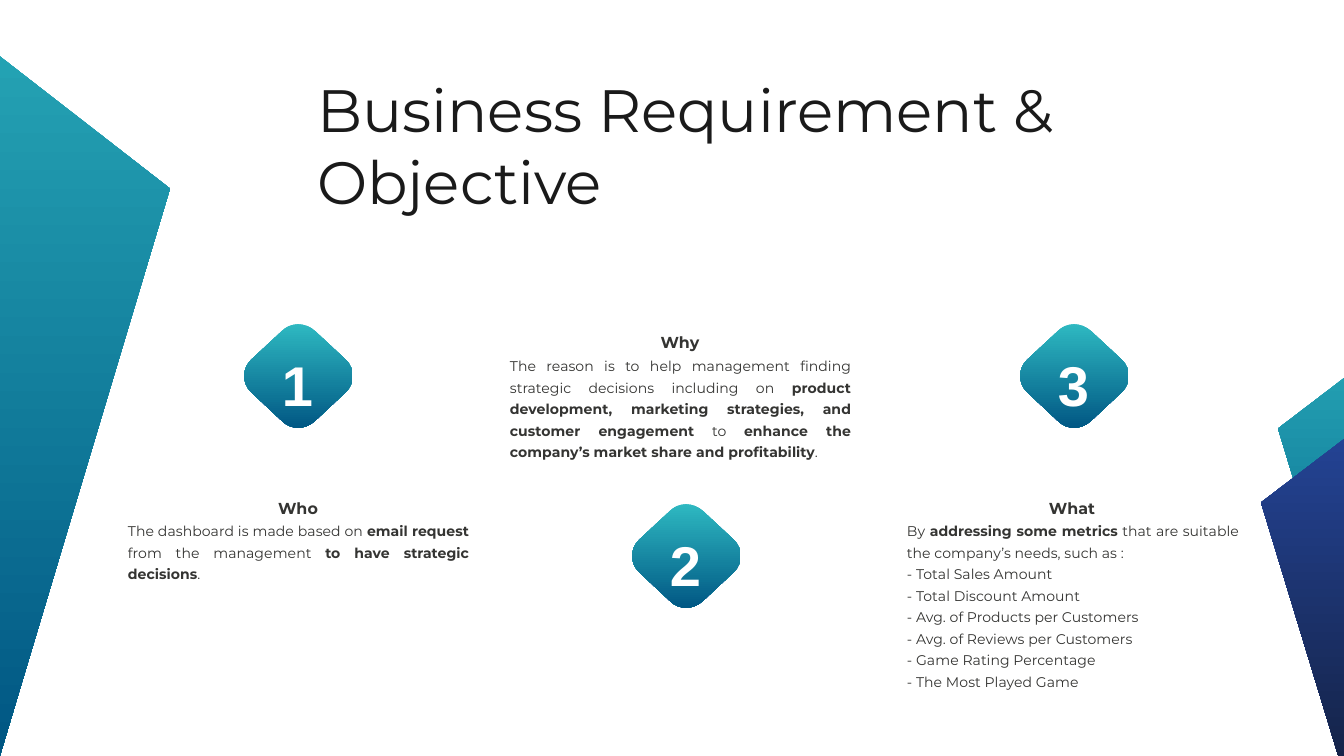
from pptx import Presentation, util as u
from pptx.dml.color import RGBColor
from pptx.enum import text
from pptx.oxml.ns import qn

# Content: each step has a badge place, a heading and paragraphs of (words, bold) runs
TITLE = "Business Requirement & Objective"
METRICS = ["Total Sales Amount", "Total Discount Amount", "Avg. of Products per Customers",
           "Avg. of Reviews per Customers", "Game Rating Percentage", "The Most Played Game"]
STEPS = [
    dict(badge_top=322, heading="Who", heading_box=(187, 493, 222, 19),
         body_box=(128, 518, 341, 60),
         body=[[("The dashboard is made based on ", False), ("email request", True),
                (" from the management ", False), ("to have strategic decisions", True),
                (".", False)]]),
    dict(badge_top=502, heading="Why", heading_box=(569, 327, 222, 19),
         body_box=(510, 353, 341, 103),
         body=[[("The reason is to help management finding strategic decisions including on", False),
                (" product development, marketing strategies, and customer engagement", True),
                (" to ", False),
                ("enhance the company’s market share and profitability", True),
                (".", False)]]),
    dict(badge_top=322, heading="What", heading_box=(964, 493, 216, 19),
         body_box=(907, 518, 332, 169),
         body=[[("By ", False), ("addressing some metrics", True),
                (" that are suitable the company’s needs, such as :", False)]]
              + [[("- " + metric, False)] for metric in METRICS]),
]

TEAL, OCEAN = RGBColor(0x2F, 0xBA, 0xC2), RGBColor(0x00, 0x56, 0x83)
BLUE, NAVY = RGBColor(0x29, 0x4E, 0xAE), RGBColor(0x13, 0x20, 0x41)
INK, GREY = RGBColor(0x1A, 0x1A, 0x1A), RGBColor(0x34, 0x34, 0x32)
WHITE = RGBColor(0xFF, 0xFF, 0xFF)

# Left, top, width, height, gradient colours
PENTAGONS = [(-730, -161, 900, 920, TEAL, OCEAN),
             (1278, 250, 468, 470, TEAL, OCEAN),
             (1261, 324, 468, 470, BLUE, NAVY)]
PENTAGON_POINTS = [(0.5, 0), (1, 0.38), (0.81, 1), (0.19, 1), (0, 0.38)]

# Rounded corners of a badge, each a cubic curve of four points
BADGE_LEFT, BADGE_PITCH = 242, 388
BADGE_POINTS = [(104, 38), (113, 47), (113, 61), (104, 70),
                (73, 99), (63, 108), (49, 108), (40, 99),
                (9, 70), (0, 61), (0, 47), (9, 38),
                (40, 9), (49, 0), (63, 0), (73, 9)]


def px(value):
    return u.Emu(round(value * 914400 / 134.4))


def add_outline(page, points, top_color, bottom_color):
    first, *rest = [(px(x), px(y)) for x, y in points]
    builder = page.shapes.build_freeform(*first)
    builder.add_line_segments(rest, close=True)
    shape = builder.convert_to_shape()
    shape.shadow.inherit = False
    shape.line.fill.background()
    shape.fill.gradient()
    shape.fill.gradient_angle = 270
    for stop, color in zip(shape.fill.gradient_stops, (top_color, bottom_color)):
        stop.color.rgb = color
    return shape


def round_corners(shape):
    """Turn the last three points of every four into one cubic curve."""
    path = next(shape._element.iter(qn("a:path")))
    lines = path.findall(qn("a:lnTo"))
    for start in range(0, len(lines), 4):
        bend = path.makeelement(qn("a:cubicBezTo"), {})
        lines[start].addprevious(bend)
        for line in lines[start:start + 3]:
            bend.append(line[0])
            path.remove(line)


def write(box, place, paragraphs, size, color, align, spacing, font="Montserrat", inset=0,
          anchor=text.MSO_ANCHOR.TOP):
    box.left, box.top, box.width, box.height = map(px, place)
    frame = box.text_frame
    frame.word_wrap = True
    frame.auto_size = text.MSO_AUTO_SIZE.NONE
    frame.vertical_anchor = anchor
    frame.margin_left = frame.margin_right = frame.margin_top = frame.margin_bottom = px(inset)
    for index, runs in enumerate(paragraphs):
        para = frame.add_paragraph() if index else frame.paragraphs[0]
        para.alignment, para.line_spacing = align, spacing
        if box.is_placeholder:
            para.space_before = u.Pt(0)
            properties = para._p.get_or_add_pPr()
            properties.set("marL", "0")
            properties.set("indent", "0")
            properties.append(properties.makeelement(qn("a:buNone"), {}))
        for words, bold in runs:
            span = para.add_run()
            span.text = words
            span.font.name, span.font.size = font, u.Pt(size)
            span.font.bold, span.font.color.rgb = bold, color


def add_box(page):
    return page.shapes.add_textbox(0, 0, 0, 0)


def main():
    deck = Presentation()
    deck.slide_width, deck.slide_height = px(1344), px(756)
    page = deck.slides.add_slide(deck.slide_layouts[1])
    title, metrics_box = page.placeholders
    align = text.PP_ALIGN

    # Side decoration
    for left, top, width, height, top_color, bottom_color in PENTAGONS:
        points = [(left + x * width, top + y * height) for x, y in PENTAGON_POINTS]
        add_outline(page, points, top_color, bottom_color)

    write(title, (317, 73, 867, 145), [[(TITLE, False)]], 32, INK, align.LEFT, 1.0)

    for index, step in enumerate(STEPS):
        # Numbered badge
        left, top = BADGE_LEFT + index * BADGE_PITCH, step["badge_top"]
        points = [(left + x, top + y) for x, y in BADGE_POINTS]
        round_corners(add_outline(page, points, TEAL, OCEAN))
        write(add_box(page), (left + 13, top + 4, 85, 90), [[(str(index + 1), True)]], 30, WHITE,
              align.CENTER, 1.4, "Arial", 8, text.MSO_ANCHOR.MIDDLE)

        # Heading and body; the list of metrics goes in the body placeholder
        write(add_box(page), step["heading_box"], [[(step["heading"], True)]], 8.5, GREY,
              align.CENTER, 1.28)
        box = metrics_box if len(step["body"]) > 1 else add_box(page)
        write(box, step["body_box"], step["body"], 7.5, GREY, align.JUSTIFY, 1.28)

    deck.save("out.pptx")


if __name__ == "__main__":
    main()
